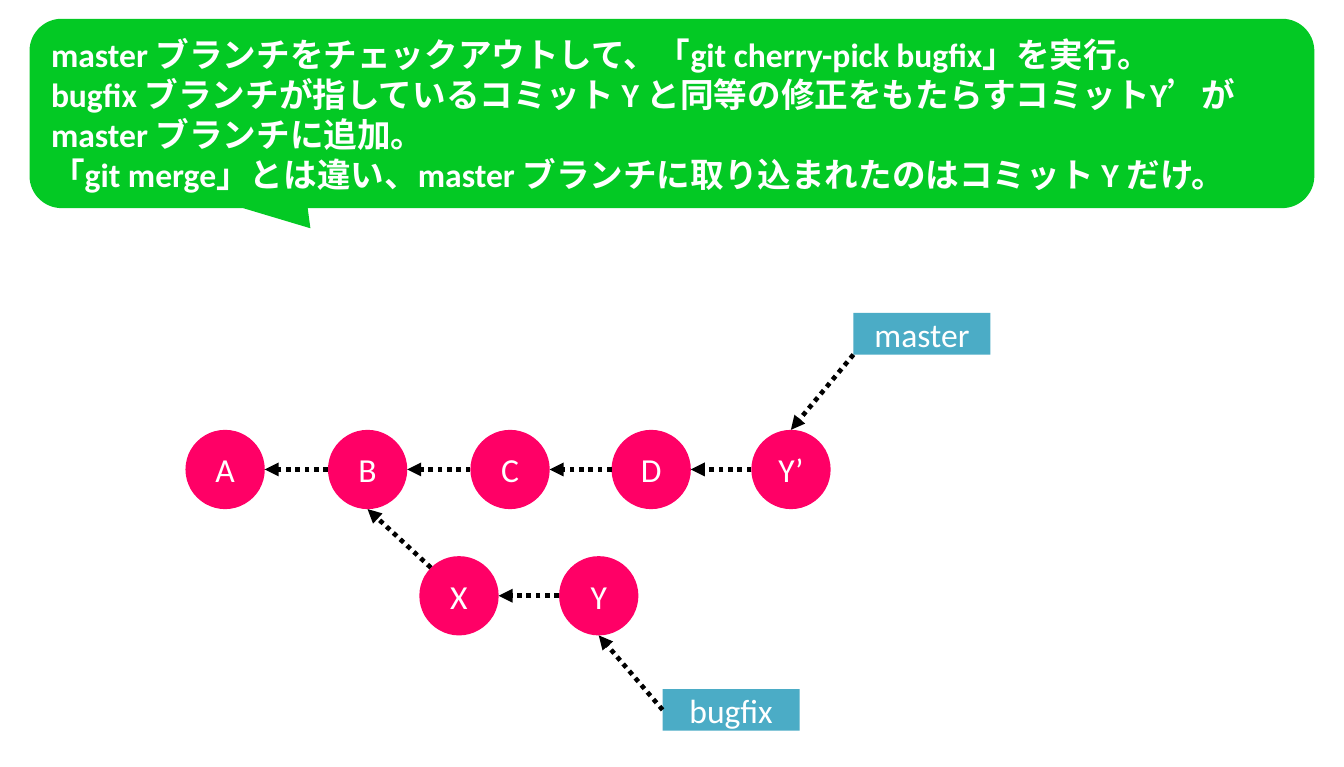
import math

from lxml import etree
from pptx import Presentation
from pptx.dml.color import RGBColor
from pptx.enum import dml, shapes, text
from pptx.oxml.ns import qn
from pptx.util import Inches, Pt

PINK, TEAL, GREEN, BLACK, WHITE = "FF0066", "4BACC6", "03C924", "000000", "FFFFFF"
COMMIT = 0.59
LABEL_W, LABEL_H = 1.02, 0.31


def rgb(value):
    return RGBColor.from_string(value)


def style(sp, fill):
    sp.shadow.inherit = False
    sp.fill.solid()
    sp.fill.fore_color.rgb = rgb(fill)
    sp.line.fill.background()


def write(sp, lines, align, bold=False):
    tf = sp.text_frame
    tf.word_wrap = True
    tf.vertical_anchor = text.MSO_ANCHOR.MIDDLE
    tf.text = "\n".join(lines)
    for p in tf.paragraphs:
        p.alignment = align
        for r in p.runs:
            r.font.name, r.font.size, r.font.bold = "Calibri", Pt(18), bold
            r.font.color.rgb = rgb(WHITE)


def add_node(slide, kind, fill, name, x, y, w, h):
    sp = slide.shapes.add_shape(kind, Inches(x), Inches(y), Inches(w), Inches(h))
    style(sp, fill)
    write(sp, [name], text.PP_ALIGN.CENTER)
    return sp


def add_arrow(slide, start, end):
    """Dotted line with a triangle at its end."""
    c = slide.shapes.add_connector(
        shapes.MSO_CONNECTOR.STRAIGHT, *(Inches(v) for v in (*start, *end)))
    c.line.color.rgb = rgb(BLACK)
    c.line.width = Pt(2.5)
    c.line.dash_style = dml.MSO_LINE.ROUND_DOT
    ln = c.line._get_or_add_ln()
    etree.SubElement(ln, qn("a:tailEnd"), type="triangle")
    etree.SubElement(c._element.spPr, qn("a:effectLst"))
    return c


def add_callout(slide, x, y, w, h, lines):
    """Rounded speech bubble whose tail leaves the bottom edge."""
    radius = 0.24

    def corner(cx, cy, first):
        return [(cx + radius * math.cos(math.radians(a)),
                 cy + radius * math.sin(math.radians(a)))
                for a in range(first, first + 91, 6)]

    left, right = x + radius, x + w - radius
    top, bottom = y + radius, y + h - radius
    tail = [(x + 2.07, y + h), (x + 2.09, y + h + 0.15), (x + 1.59, y + h)]
    outline = (corner(left, top, 180) + corner(right, top, 270)
               + corner(right, bottom, 0) + tail + corner(left, bottom, 90))
    points = [(Inches(px), Inches(py)) for px, py in outline]
    builder = slide.shapes.build_freeform(*points[0])
    builder.add_line_segments(points[1:], close=True)
    sp = builder.convert_to_shape()
    style(sp, GREEN)
    write(sp, lines, text.PP_ALIGN.LEFT, bold=True)
    tf = sp.text_frame
    tf.margin_left = tf.margin_right = Inches(0.16)
    tf.margin_top, tf.margin_bottom = Inches(0.05), Inches(0.19)


def add_commit_row(slide, x, y, offsets):
    """Row of commits, each pointing back at its parent on the left."""
    mid = y + COMMIT / 2
    previous = None
    for name, dx in offsets.items():
        left = x + dx
        add_node(slide, shapes.MSO_SHAPE.OVAL, PINK, name, left, y, COMMIT, COMMIT)
        if previous is not None:
            add_arrow(slide, (left, mid), (previous + COMMIT, mid))
        previous = left


def add_branch_label(slide, name, x, y):
    return add_node(slide, shapes.MSO_SHAPE.RECTANGLE, TEAL, name, x, y, LABEL_W, LABEL_H)


def add_graph(slide, x, y):
    """Commit graph; y is the top of the master row."""
    half = COMMIT / 2
    master = {"A": 0, "B": 1.06, "C": 2.12, "D": 3.17, "Y’": 4.21}
    bugfix = {"X": 1.74, "Y": 2.78}
    low = y + 0.94
    add_commit_row(slide, x, y, master)
    add_commit_row(slide, x, low, bugfix)

    # Bugfix row forks from B
    corner = half * (1 - math.sqrt(0.5))
    add_arrow(slide, (x + bugfix["X"] + corner, low + corner),
              (x + master["B"] + half, y + COMMIT))

    # Branch labels and their pointers
    lx, ly = x + 4.97, y - 0.87
    add_branch_label(slide, "master", lx, ly)
    add_arrow(slide, (lx, ly + LABEL_H), (x + master["Y’"] + half, y))
    lx, ly = x + 3.55, y + 1.93
    label = add_branch_label(slide, "bugfix", lx, ly)
    pointer = add_arrow(slide, (lx, ly + LABEL_H / 2),
                        (x + bugfix["Y"] + half, low + COMMIT))
    pointer.begin_connect(label, 1)


def main():
    prs = Presentation()
    prs.slide_width, prs.slide_height = Inches(10), Inches(5.71)
    slide = prs.slides.add_slide(prs.slide_layouts[6])
    add_graph(slide, 1.38, 3.2)
    add_callout(slide, 0.22, 0.14, 9.56, 1.41, [
        "master ブランチをチェックアウトして、「git cherry-pick bugfix」を実行。",
        "bugfix ブランチが指しているコミット Y と同等の修正をもたらすコミットY’がmaster ブランチに追加。",
        "「git merge」とは違い、master ブランチに取り込まれたのはコミット Y だけ。",
    ])
    prs.save("out.pptx")


if __name__ == "__main__":
    main()
